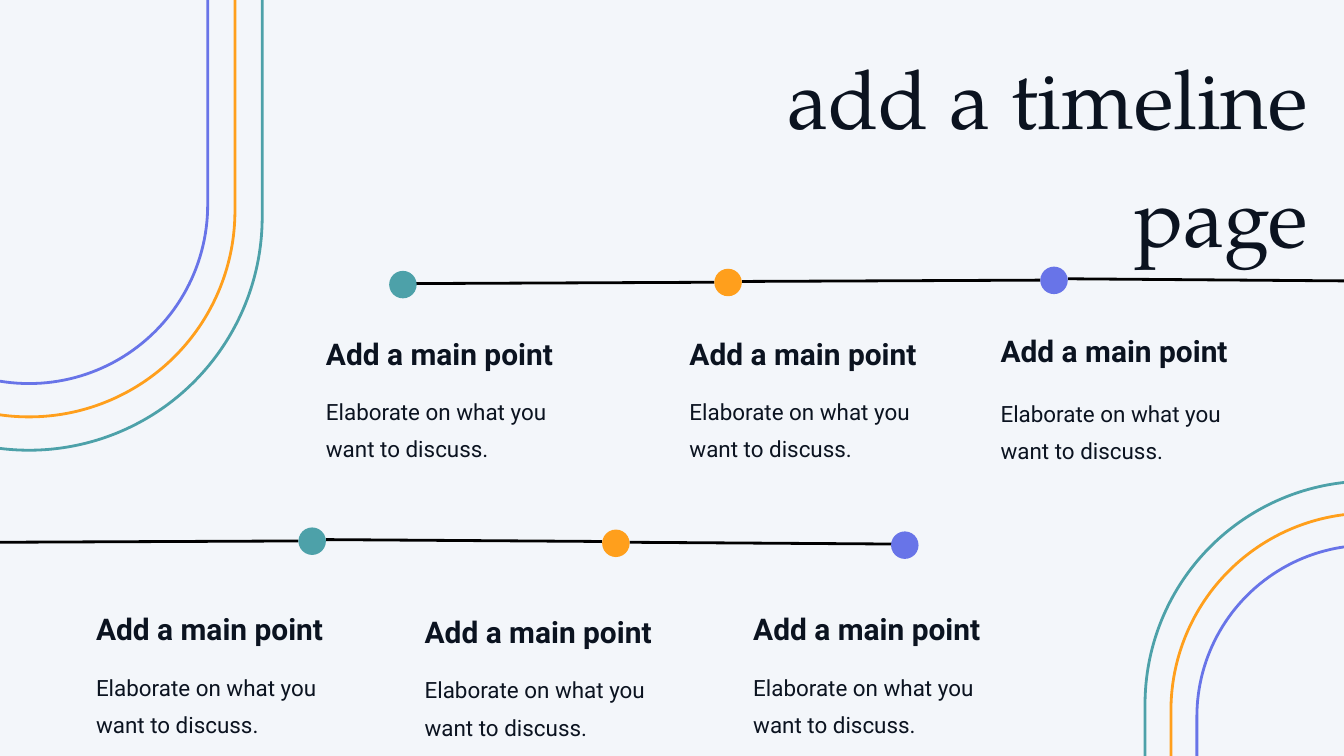
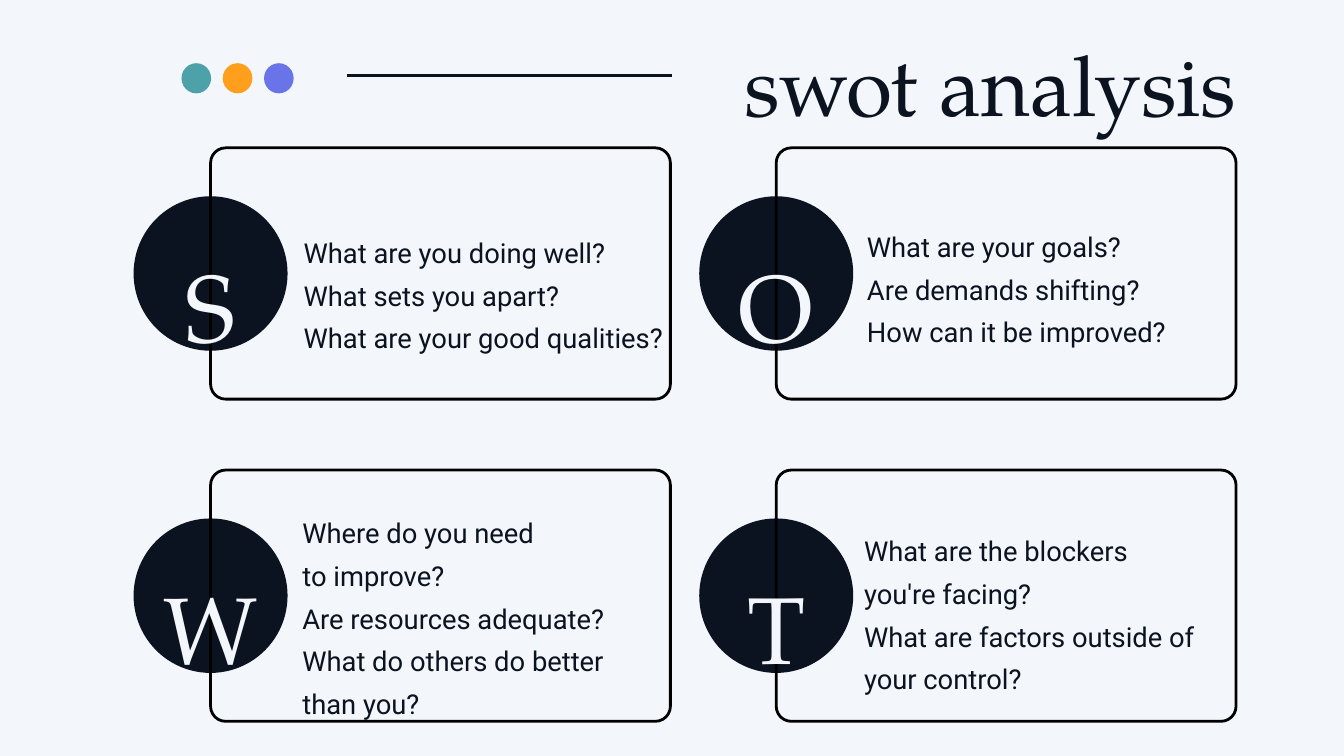
from dataclasses import dataclass

from lxml.etree import SubElement
from pptx import Presentation
from pptx.dml.color import RGBColor
from pptx.enum.shapes import MSO_CONNECTOR, MSO_SHAPE
from pptx.enum.text import MSO_AUTO_SIZE, PP_ALIGN
from pptx.oxml.ns import qn
from pptx.util import Cm, Pt


@dataclass(frozen=True)
class Theme:
    paper: RGBColor = RGBColor.from_string("F3F6FA")
    ink: RGBColor = RGBColor.from_string("0B1320")
    black: RGBColor = RGBColor.from_string("000000")
    teal: RGBColor = RGBColor.from_string("4DA1A9")
    orange: RGBColor = RGBColor.from_string("FF9F1C")
    violet: RGBColor = RGBColor.from_string("6874E8")
    serif: str = "TeX Gyre Pagella"
    sans: str = "Roboto"
    timeline_title: float = 88
    swot_title: float = 90
    letter: float = 101.6
    heading: float = 32
    question: float = 29.3
    body: float = 24
    stroke: float = 3


theme = Theme()
accents = (theme.teal, theme.orange, theme.violet)


def add_text(slide, box, lines, font, size, spacing, color=theme.ink,
             align=PP_ALIGN.LEFT, bold=False):
    frame = slide.shapes.add_textbox(*map(Cm, box)).text_frame
    frame.margin_left = frame.margin_right = 0
    frame.margin_top = frame.margin_bottom = 0
    frame.word_wrap = True
    frame.auto_size = MSO_AUTO_SIZE.SHAPE_TO_FIT_TEXT
    frame.text = "\n".join(lines)
    for paragraph in frame.paragraphs:
        paragraph.alignment = align
        paragraph.line_spacing = spacing
        paragraph.font.name = font
        paragraph.font.size = Pt(size)
        paragraph.font.bold = bold
        paragraph.font.color.rgb = color


def add_shape(slide, kind, box, fill=None, outline=None):
    shape = slide.shapes.add_shape(kind, *map(Cm, box))
    shape.shadow.inherit = False
    if fill is None:
        shape.fill.background()
    else:
        shape.fill.solid()
        shape.fill.fore_color.rgb = fill
    if outline is None:
        shape.line.fill.background()
    else:
        shape.line.color.rgb = outline
        shape.line.width = Pt(theme.stroke)
    return shape


presentation = Presentation()
presentation.slide_width, presentation.slide_height = Cm(50.8), Cm(28.58)
timeline, swot = [presentation.slides.add_slide(presentation.slide_layouts[6])
                  for _ in range(2)]
for slide in (timeline, swot):
    slide.background.fill.solid()
    slide.background.fill.fore_color.rgb = theme.paper

# Straight lines: two timeline rows and the rule beside the SWOT title
straight_lines = [
    (timeline, theme.black, (15.72, 10.72, 27, 10.67)),
    (timeline, theme.black, (28.04, 10.64, 39.32, 10.59)),
    (timeline, theme.black, (40.36, 10.54, 50.8, 10.62)),
    (timeline, theme.black, (0, 20.5, 11.28, 20.45)),
    (timeline, theme.black, (12.32, 20.4, 22.76, 20.47)),
    (timeline, theme.black, (23.8, 20.5, 34.24, 20.57)),
    (swot, theme.ink, (13.11, 2.84, 25.4, 2.84)),
]
for slide, color, ends in straight_lines:
    connector = slide.shapes.add_connector(MSO_CONNECTOR.STRAIGHT, *map(Cm, ends))
    connector.line.color.rgb = color
    connector.line.width = Pt(theme.stroke)
    SubElement(connector._element.spPr, qn("a:effectLst"))

# Timeline title
add_text(timeline, (29.01, 1.04, 20.42, 7.39), ["add a timeline page"],
         theme.serif, theme.timeline_title, 1.2, align=PP_ALIGN.RIGHT)

# Timeline points: dot left and top, then text left, heading top, body top
points = [
    (14.71, 10.24, 12.32, 12.4, 14.63),
    (27, 10.16, 26.06, 12.4, 14.63),
    (39.32, 10.08, 37.82, 12.29, 14.71),
    (11.28, 19.94, 3.63, 22.83, 25.07),
    (22.76, 20.02, 16.05, 22.94, 25.15),
    (33.68, 20.09, 28.47, 22.83, 25.07),
]
for index, (dot_left, dot_top, left, heading_top, body_top) in enumerate(points):
    add_shape(timeline, MSO_SHAPE.OVAL, (dot_left, dot_top, 1.04, 1.04),
              fill=accents[index % 3])
    add_text(timeline, (left, heading_top, 9.35, 1.4), ["Add a main point"],
             theme.sans, theme.heading, 1.2, bold=True)
    add_text(timeline, (left, body_top, 9.35, 2.31),
             ["Elaborate on what you want to discuss."],
             theme.sans, theme.body, 1.4)

# Nested arches in two corners: outer box, inset across and down, rotation
arches = [
    ((43.28, 18.19, 16.89, 20.78), 0.98, 1.21, 0),
    ((-7.72, -4.67, 17.63, 21.69), 1.03, 1.26, 180),
]
for (left, top, width, height), across, down, rotation in arches:
    for step, color in enumerate(accents):
        arch = add_shape(timeline, MSO_SHAPE.ROUND_2_SAME_RECTANGLE,
                         (left + step * across, top + step * down,
                          width - 2 * step * across, height - 2 * step * down),
                         outline=color)
        arch.adjustments[0] = 0.5
        arch.rotation = rotation

# SWOT title and accent dots
add_text(swot, (24.18, 0.46, 22.56, 3.81), ["swot analysis"],
         theme.serif, theme.swot_title, 1.2, align=PP_ALIGN.RIGHT)
for index, color in enumerate(accents):
    add_shape(swot, MSO_SHAPE.OVAL, (6.86 + index * 1.56, 2.39, 1.12, 1.14), fill=color)

# SWOT quadrants, row by row: letter, question box, questions
quadrants = [
    ("S", (11.48, 8.56, 13.97, 4.52),
     ["What are you doing well?", "What sets you apart?",
      "What are your good qualities?"]),
    ("O", (32.77, 8.33, 13.97, 4.52),
     ["What are your goals?", "Are demands shifting?", "How can it be improved?"]),
    ("W", (11.43, 19.15, 13.34, 7.77),
     ["Where do you need", "to improve?", "Are resources adequate?",
      "What do others do better than you?"]),
    ("T", (32.66, 19.84, 14.15, 6.15),
     ["What are the blockers", "you're facing?", "What are factors outside of",
      "your control?"]),
]
for index, (letter, question_box, questions) in enumerate(quadrants):
    row, column = divmod(index, 2)
    left, top = 7.96 + column * 21.38, 5.59 + row * 12.18
    add_shape(swot, MSO_SHAPE.OVAL, (left - 2.91, top + 1.83, 5.82, 5.84), fill=theme.ink)
    card = add_shape(swot, MSO_SHAPE.ROUNDED_RECTANGLE, (left, top, 17.38, 9.5),
                     outline=theme.black)
    card.adjustments[0] = 0.06
    add_text(swot, (left - 1.82, top + 2.05, 3.64, 4.85), [letter], theme.serif,
             theme.letter, 1.4, color=theme.paper, align=PP_ALIGN.CENTER)
    add_text(swot, question_box, questions, theme.sans, theme.question, 1.3)

presentation.save("out.pptx")
